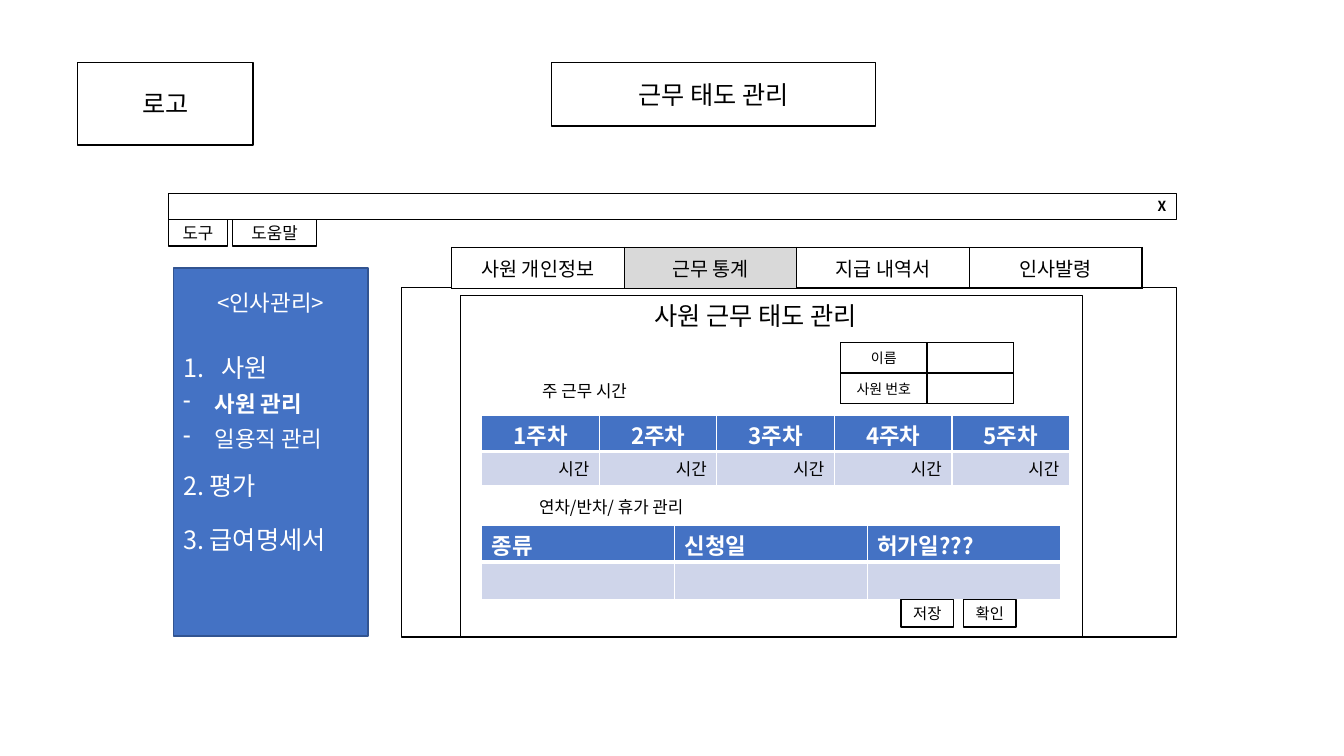
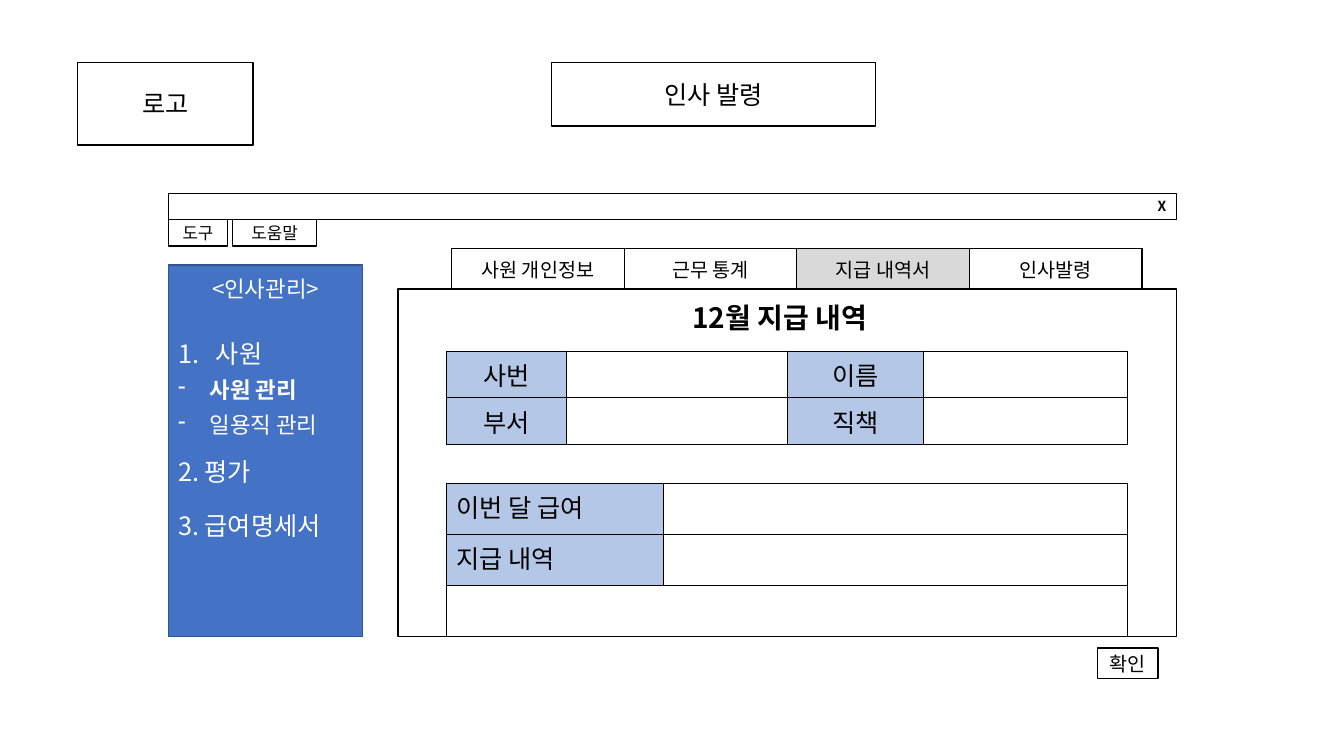
from dataclasses import dataclass, replace
from typing import Optional

from lxml.etree import SubElement
from pptx import Presentation
from pptx.dml.color import RGBColor
from pptx.enum.shapes import MSO_SHAPE
from pptx.enum.text import MSO_ANCHOR, PP_ALIGN
from pptx.oxml.ns import qn
from pptx.util import Pt

FONT = "Noto Sans CJK KR"
COLORS = {
    "black": "000000",
    "white": "FFFFFF",
    "blue": "4472C4",
    "navy": "325491",
    "band": "CFD5EA",
    "label": "B4C7E7",
    "grey": "D9D9D9",
}
TAB_NAMES = ["사원 개인정보", "근무 통계", "지급 내역서", "인사발령"]


@dataclass(frozen=True)
class TextStyle:
    size: float = 18
    color: str = "black"
    bold: bool = False
    align: PP_ALIGN = PP_ALIGN.CENTER


@dataclass(frozen=True)
class Box:
    left: float
    top: float
    width: float
    height: float
    text: str = ""
    style: TextStyle = TextStyle()
    fill: Optional[str] = "white"
    line: str = "black"
    line_width: float = 1
    anchor: MSO_ANCHOR = MSO_ANCHOR.MIDDLE


@dataclass(frozen=True)
class CellLook:
    style: TextStyle
    fill: Optional[str] = None
    anchor: MSO_ANCHOR = MSO_ANCHOR.MIDDLE
    border: str = "black"
    bottom: float = 1
    margins: tuple[float, float] = (3.6, 3.6)


@dataclass(frozen=True)
class Grid:
    left: float
    top: float
    columns: list[float]
    rows: list[float]
    texts: list[list[str]]
    looks: list[list[CellLook]]


@dataclass(frozen=True)
class MenuItem:
    text: str
    style: TextStyle
    space_before: float = 0
    bullet: str = ""
    indent: float = 0


MENU_LARGE = TextStyle(18, "white", align=PP_ALIGN.LEFT)
MENU_SMALL = replace(MENU_LARGE, size=16)
MENU = [
    MenuItem("<인사관리>", replace(MENU_SMALL, align=PP_ALIGN.CENTER)),
    MenuItem("사원", MENU_LARGE, 26, "1.", 27),
    MenuItem("사원 관리", replace(MENU_SMALL, bold=True), 5.5, "-", 22.5),
    MenuItem("일용직 관리", MENU_SMALL, 5.5, "-", 22.5),
    MenuItem("2. 평가", MENU_LARGE, 13.5),
    MenuItem("3. 급여명세서", MENU_LARGE, 17),
]


def rgb(name: str) -> RGBColor:
    return RGBColor.from_string(COLORS[name])


def paint(fill, color: Optional[str]) -> None:
    if color is None:
        fill.background()
    else:
        fill.solid()
        fill.fore_color.rgb = rgb(color)


def write(paragraph, text: str, style: TextStyle) -> None:
    paragraph.alignment = style.align
    font = paragraph.font
    font.name = FONT
    font.size = Pt(style.size)
    font.bold = style.bold
    font.color.rgb = rgb(style.color)
    defaults = next(paragraph._p.iter(qn("a:defRPr")))
    SubElement(defaults, qn("a:ea"), typeface=FONT)
    if text:
        paragraph.add_run().text = text
    else:
        SubElement(paragraph._p, qn("a:endParaRPr"), sz=str(int(style.size * 100)))


def draw_box(slide, box: Box):
    shape = slide.shapes.add_shape(
        MSO_SHAPE.RECTANGLE, Pt(box.left), Pt(box.top), Pt(box.width), Pt(box.height)
    )
    shape.shadow.inherit = False
    paint(shape.fill, box.fill)
    shape.line.color.rgb = rgb(box.line)
    shape.line.width = Pt(box.line_width)
    frame = shape.text_frame
    frame.word_wrap = True
    frame.vertical_anchor = box.anchor
    if box.text:
        write(frame.paragraphs[0], box.text, box.style)
    return shape


def draw_label(slide, left: float, top: float, width: float, height: float,
               text: str, style: TextStyle) -> None:
    frame = slide.shapes.add_textbox(Pt(left), Pt(top), Pt(width), Pt(height)).text_frame
    frame.word_wrap = True
    write(frame.paragraphs[0], text, style)


def set_borders(cell, look: CellLook) -> None:
    properties = cell._tc.get_or_add_tcPr()
    for side, width in (("L", 1), ("R", 1), ("T", 1), ("B", look.bottom)):
        line = SubElement(properties, qn(f"a:ln{side}"), w=str(Pt(width)))
        solid = SubElement(line, qn("a:solidFill"))
        SubElement(solid, qn("a:srgbClr"), val=COLORS[look.border])


def draw_grid(slide, grid: Grid):
    table = slide.shapes.add_table(
        len(grid.rows), len(grid.columns), Pt(grid.left), Pt(grid.top),
        Pt(sum(grid.columns)), Pt(sum(grid.rows)),
    ).table
    table.first_row = False
    table.horz_banding = False
    for column, width in zip(table.columns, grid.columns):
        column.width = Pt(width)
    for row, height, texts, looks in zip(table.rows, grid.rows, grid.texts, grid.looks):
        row.height = Pt(height)
        for cell, text, look in zip(row.cells, texts, looks):
            set_borders(cell, look)
            paint(cell.fill, look.fill)
            cell.vertical_anchor = look.anchor
            cell.margin_top, cell.margin_bottom = (Pt(margin) for margin in look.margins)
            write(cell.text_frame.paragraphs[0], text, look.style)
    return table


def draw_menu(slide, left: float, top: float, height: float, inset: float) -> None:
    shape = draw_box(slide, Box(left, top, 139, height, fill="blue", line="navy",
                                anchor=MSO_ANCHOR.TOP))
    frame = shape.text_frame
    frame.margin_top = Pt(inset)
    for index, item in enumerate(MENU):
        paragraph = frame.add_paragraph() if index else frame.paragraphs[0]
        paragraph.space_before = Pt(item.space_before)
        write(paragraph, item.text, item.style)
        if item.bullet:
            properties = paragraph._p.get_or_add_pPr()
            properties.set("marL", str(Pt(item.indent)))
            properties.set("indent", str(-Pt(item.indent)))
            if item.bullet == "1.":
                bullet = SubElement(properties, qn("a:buAutoNum"), type="arabicPeriod")
            else:
                bullet = SubElement(properties, qn("a:buChar"), char=item.bullet)
            properties.find(qn("a:defRPr")).addprevious(bullet)


def draw_tabs(slide, top: float, fills: list[Optional[str]]) -> None:
    looks = [CellLook(TextStyle(14), fill) for fill in fills]
    draw_grid(slide, Grid(322.6, top, [123.3] * 4, [29.5], [TAB_NAMES], [looks]))


def add_window(presentation, heading: str):
    slide = presentation.slides.add_slide(presentation.slide_layouts[6])
    title_bar = draw_box(slide, Box(
        120.2, 138.2, 720, 18.7, "X", TextStyle(9.9, bold=True, align=PP_ALIGN.RIGHT),
        None, line_width=0.75, anchor=MSO_ANCHOR.BOTTOM))
    title_bar.text_frame.paragraphs[0].line_spacing = 0.9
    for box in (
        Box(120.2, 157, 42.5, 18.7, "도구", TextStyle(12)),
        Box(166.3, 157, 59.8, 18.7, "도움말", TextStyle(12)),
        Box(393.8, 44.6, 231.8, 45.4, heading),
        Box(55.4, 44.6, 125.3, 59, "로고"),
    ):
        draw_box(slide, box)
    return slide


def build_attendance(presentation) -> None:
    slide = add_window(presentation, "근무 태도 관리")
    draw_box(slide, Box(286.6, 205.2, 553.7, 249.8))
    draw_box(slide, Box(329, 211, 444.2, 243.6, fill=None))
    draw_label(slide, 417.6, 211, 244.8, 28.8, "사원 근무 태도 관리", TextStyle())

    plain = CellLook(TextStyle(10))
    draw_grid(slide, Grid(600.5, 244.8, [61.6] * 2, [21.7] * 2,
                          [["이름", ""], ["사원 번호", ""]], [[plain] * 2] * 2))

    section = TextStyle(12, align=PP_ALIGN.LEFT)
    draw_label(slide, 380.2, 268.6, 85.7, 21.6, "주 근무 시간", section)
    draw_label(slide, 378, 351.4, 136.8, 21.6, "연차/반차/ 휴가 관리", section)

    header = CellLook(TextStyle(16, "white", True), "blue", border="white",
                      bottom=3, margins=(2.5, 0))
    hours = CellLook(TextStyle(12, align=PP_ALIGN.RIGHT), "band", border="white")
    weeks = [f"{week}주차" for week in range(1, 6)]
    draw_grid(slide, Grid(344.2, 296.6, [83.95] * 5, [25.9, 24.6],
                          [weeks, ["시간"] * 5], [[header] * 5, [hours] * 5]))

    leave_header = replace(header, style=replace(header.style, align=PP_ALIGN.LEFT),
                           anchor=MSO_ANCHOR.TOP)
    leave = replace(hours, style=section)
    draw_grid(slide, Grid(344.2, 375.4, [137.7] * 3, [26.3] * 2,
                          [["종류", "신청일", "허가일???"], [""] * 3],
                          [[leave_header] * 3, [leave] * 3]))

    for left, text in ((688.3, "확인"), (643.7, "저장")):
        draw_box(slide, Box(left, 428.4, 37.4, 19.4, text, TextStyle(11)))
    draw_tabs(slide, 176.8, ["white", "grey", None, None])
    draw_menu(slide, 123.8, 191.5, 262.8, 15)


def build_payment(presentation) -> None:
    slide = add_window(presentation, "인사 발령")
    draw_menu(slide, 120.2, 189.4, 265.2, 7)
    draw_tabs(slide, 177.3, ["white", "white", "grey", None])
    draw_box(slide, Box(284.4, 206.6, 555.8, 248.2))

    blank = CellLook(TextStyle())
    label = replace(blank, fill="label")
    draw_grid(slide, Grid(319, 250.8, [85.7, 157.7, 97.5, 145.6], [33.4] * 2,
                          [["사번", "", "이름", ""], ["부서", "", "직책", ""]],
                          [[label, blank] * 2] * 2))
    draw_label(slide, 487.4, 211, 176.4, 31.7, "12월 지급 내역",
               TextStyle(20, bold=True, align=PP_ALIGN.LEFT))

    pay_label = replace(label, style=TextStyle(align=PP_ALIGN.LEFT), anchor=MSO_ANCHOR.TOP)
    table = draw_grid(slide, Grid(
        319, 345.2, [155, 331.5], [36.5] * 3,
        [["이번 달 급여", ""], ["지급 내역", ""], ["", ""]],
        [[pay_label, blank]] * 2 + [[blank, blank]]))
    table.cell(2, 0).merge(table.cell(2, 1))
    draw_box(slide, Box(784.1, 463, 43.2, 21.6, "확인", TextStyle(14)))


def main() -> None:
    presentation = Presentation()
    presentation.slide_width = Pt(960)
    presentation.slide_height = Pt(540)
    build_attendance(presentation)
    build_payment(presentation)
    presentation.save("out.pptx")


main()
